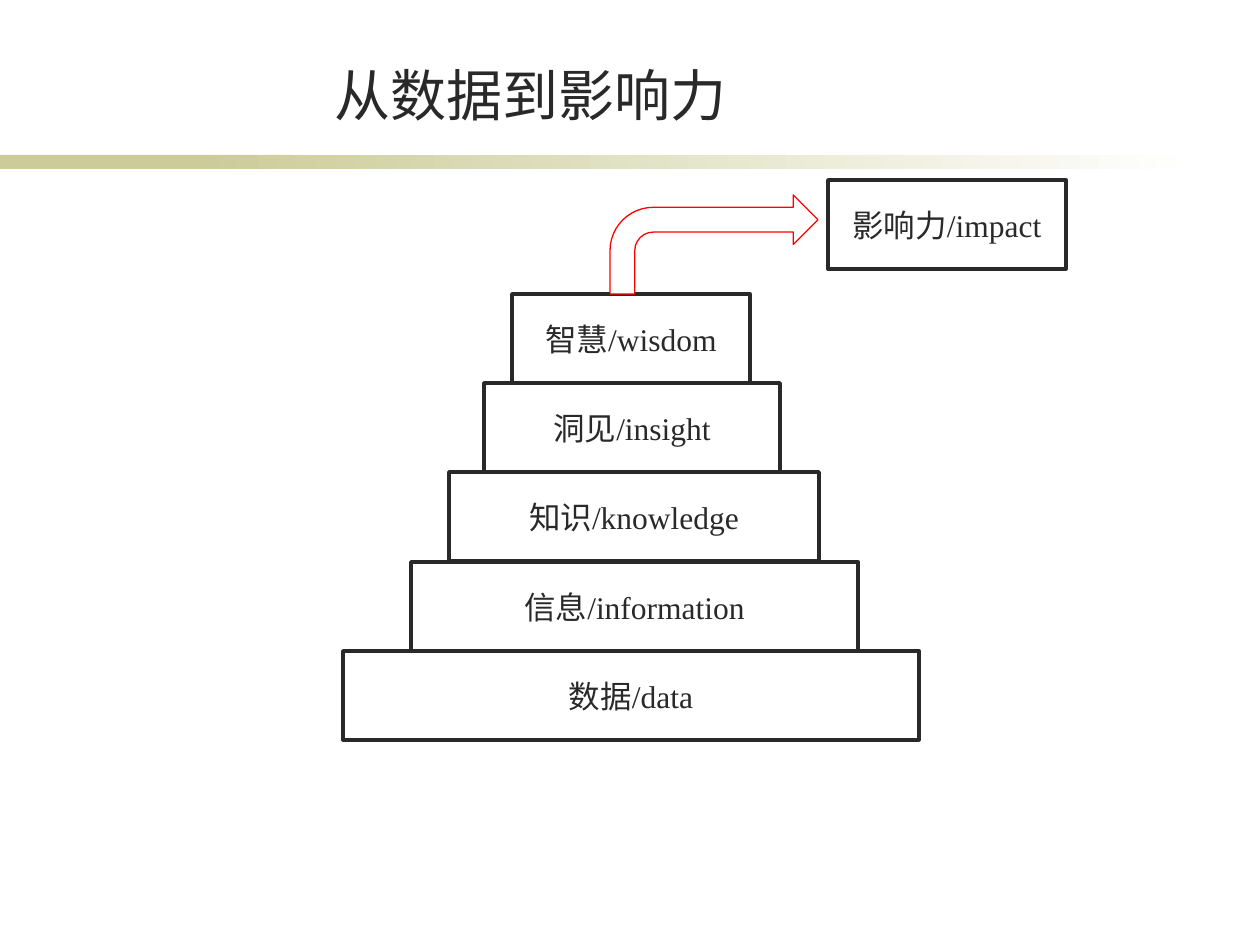
from typing import NamedTuple

from pptx import Presentation
from pptx import util as u
from pptx.dml.color import RGBColor
from pptx.enum import shapes, text

PX = u.Inches(1) / 126
COLORS = {"ink": "292929", "paper": "FFFFFF", "khaki": "CCCC99", "red": "FF0000"}
LEVEL_TOP, PYRAMID_HEIGHT, LEVEL_HEIGHT = 294, 447, 89


class Box(NamedTuple):
    label: str
    left: int
    top: int
    width: int


def px(n: int) -> int:
    return u.Emu(round(n * PX))


def rgb(name: str) -> RGBColor:
    return RGBColor.from_string(COLORS[name])


def set_all(obj, values: dict) -> None:
    for name, value in values.items():
        setattr(obj, name, value)


def add_shape(s, kind, left: int, top: int, width: int, height: int,
              fill: str = "paper", line: str = "", weight: float = 0):
    sp = s.shapes.add_shape(kind, px(left), px(top), px(width), px(height))
    sp.shadow.inherit = False
    sp.fill.solid()
    sp.fill.fore_color.rgb = rgb(fill)
    if line:
        sp.line.color.rgb = rgb(line)
        sp.line.width = u.Pt(weight)
    else:
        sp.line.fill.background()
    return sp


def write(sp, label: str, font: str, size: int, anchor, wrap: bool) -> None:
    tf = sp.text_frame
    set_all(tf, {"word_wrap": wrap, "vertical_anchor": anchor,
                 "auto_size": text.MSO_AUTO_SIZE.NONE})
    p = tf.paragraphs[0]
    p.alignment = text.PP_ALIGN.CENTER
    r = p.add_run()
    r.text = label
    set_all(r.font, {"name": font, "size": u.Pt(size), "bold": False})
    r.font.color.rgb = rgb("ink")


def add_box(s, box: Box) -> None:
    sp = add_shape(s, shapes.MSO_SHAPE.RECTANGLE, box.left, box.top, box.width,
                   LEVEL_HEIGHT, line="ink", weight=2)
    write(sp, box.label, "Times New Roman", 18, text.MSO_ANCHOR.MIDDLE, False)


def main() -> None:
    prs = Presentation()
    set_all(prs, {"slide_width": px(1260), "slide_height": px(945)})
    s = prs.slides.add_slide(prs.slide_layouts[5])

    # Title
    title = s.shapes.title
    set_all(title, {"left": px(144), "top": px(55), "width": px(774), "height": px(79)})
    write(title, "从数据到影响力", "Arial", 32, text.MSO_ANCHOR.BOTTOM, True)

    # Fading band under the title
    add_shape(s, shapes.MSO_SHAPE.RECTANGLE, 0, 155, 294, 14, fill="khaki")
    fade = add_shape(s, shapes.MSO_SHAPE.RECTANGLE, 199, 155, 998, 14)
    fade.fill.gradient()
    fade.fill.gradient_angle = 0
    for stop, color, position in zip(fade.fill.gradient_stops, ("khaki", "paper"), (0, 1)):
        stop.color.rgb = rgb(color)
        stop.position = position

    # Pyramid, from the base up
    levels = [
        ("数据/data", 343, 576),
        ("信息/information", 411, 447),
        ("知识/knowledge", 449, 370),
        ("洞见/insight", 484, 296),
        ("智慧/wisdom", 512, 238),
    ]
    for i, (label, left, width) in enumerate(levels, start=1):
        top = LEVEL_TOP + PYRAMID_HEIGHT * (len(levels) - i) // len(levels)
        add_box(s, Box(label, left, top, width))

    # Arrow from wisdom to impact
    add_shape(s, shapes.MSO_SHAPE.BENT_ARROW, 610, 195, 208, 99, line="red", weight=0.75)
    add_box(s, Box("影响力/impact", 828, 180, 238))

    prs.save("out.pptx")


if __name__ == "__main__":
    main()
